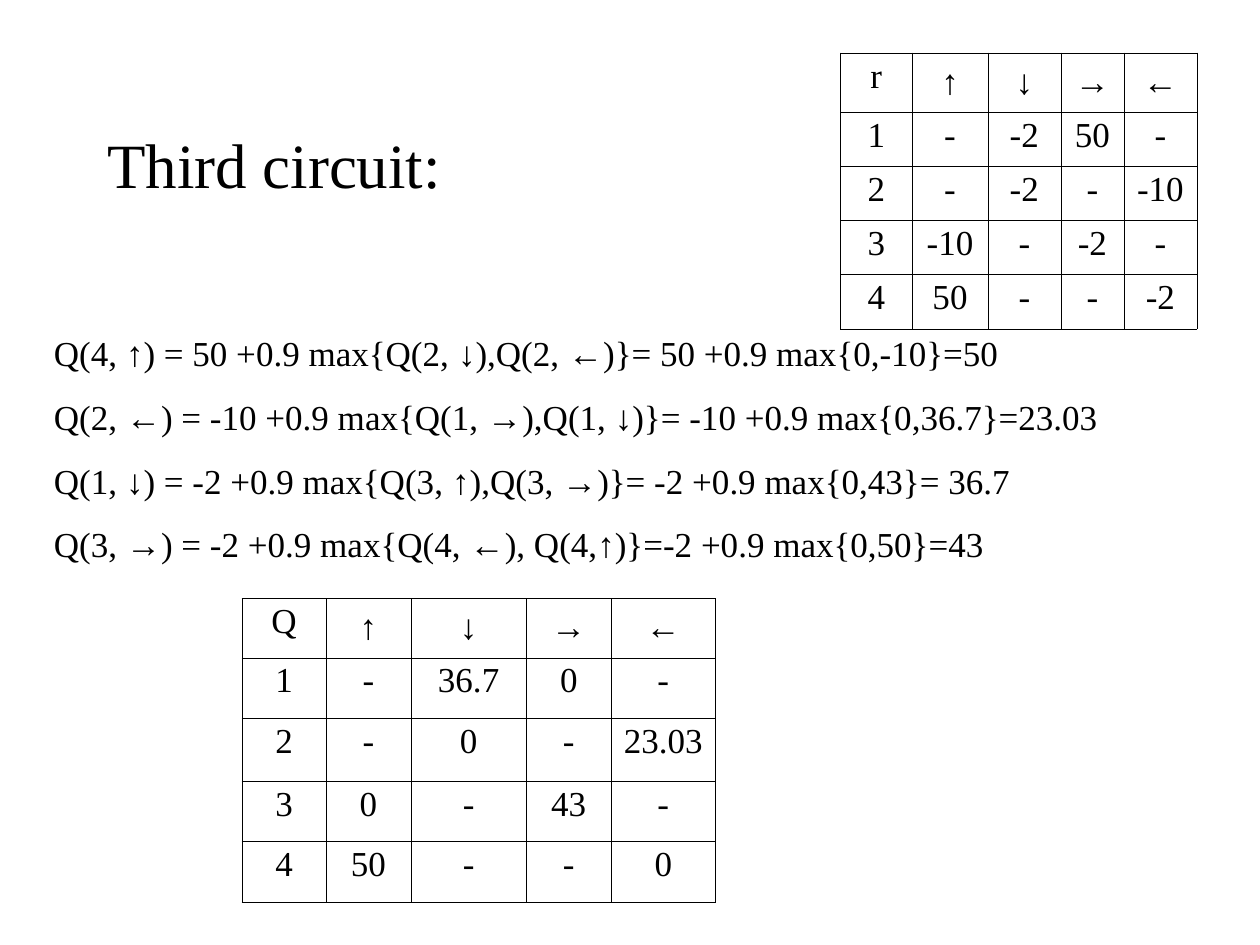
from dataclasses import dataclass
from itertools import groupby

from lxml.etree import SubElement
from pptx import Presentation
from pptx.dml.color import RGBColor
from pptx.enum.text import MSO_ANCHOR, MSO_AUTO_SIZE, PP_ALIGN
from pptx.oxml.ns import qn
from pptx.util import Inches, Pt

COLORS = {"ink": "000000", "paper": "FFFFFF"}
TEXT_FONT, ARROW_FONT = "Times New Roman", "Arial"
ARROWS = "↑↓→←"
BODY_SIZE = 20
BORDER_WIDTH = Pt(0.23)

EQUATIONS = [
    "Q(4, ↑) = 50 +0.9 max{Q(2, ↓),Q(2, ←)}= 50 +0.9 max{0,-10}=50",
    "Q(2, ←) = -10 +0.9 max{Q(1, →),Q(1, ↓)}= -10 +0.9 max{0,36.7}=23.03",
    "Q(1, ↓) = -2 +0.9 max{Q(3, ↑),Q(3, →)}= -2 +0.9 max{0,43}= 36.7",
    "Q(3, →) = -2 +0.9 max{Q(4, ←), Q(4,↑)}=-2 +0.9 max{0,50}=43",
]


@dataclass
class ValueTable:
    name: str
    left: float
    top: float
    widths: list[float]
    heights: list[float]
    values: list[list[str]]  # one row per state, one column per arrow


REWARDS = ValueTable(
    "r", 6.67, 0.42,
    [0.57, 0.6, 0.58, 0.5, 0.58],
    [0.47, 0.43, 0.43, 0.43, 0.43],
    [["-", "-2", "50", "-"],
     ["-", "-2", "-", "-10"],
     ["-10", "-", "-2", "-"],
     ["50", "-", "-", "-2"]],
)
Q_VALUES = ValueTable(
    "Q", 1.92, 4.75,
    [0.67, 0.67, 0.92, 0.67, 0.83],
    [0.47, 0.48, 0.5, 0.48, 0.48],
    [["-", "36.7", "0", "-"],
     ["-", "0", "-", "23.03"],
     ["0", "-", "43", "-"],
     ["50", "-", "-", "0"]],
)


def add_runs(p, text: str, size: int = BODY_SIZE) -> None:
    """Add text to a paragraph, giving the arrows a font of their own."""
    for is_arrow, chars in groupby(text, key=lambda c: c in ARROWS):
        r = p.add_run()
        r.text = "".join(chars)
        r.font.name = ARROW_FONT if is_arrow else TEXT_FONT
        r.font.size = Pt(size)
        r.font.color.rgb = RGBColor.from_string(COLORS["ink"])


def add_title(s, text: str) -> None:
    sp = s.shapes.title
    sp.left, sp.top = Inches(0.75), Inches(0.67)
    sp.width, sp.height = Inches(8.5), Inches(1.25)
    tf = sp.text_frame
    tf.vertical_anchor = MSO_ANCHOR.MIDDLE
    p = tf.paragraphs[0]
    p.alignment = PP_ALIGN.LEFT
    add_runs(p, text, 36)


def add_equations(s, lines: list[str]) -> None:
    sp = s.shapes.add_textbox(Inches(0.33), Inches(2.58), Inches(9.67), Inches(1.96))
    tf = sp.text_frame
    tf.word_wrap = True
    tf.auto_size = MSO_AUTO_SIZE.SHAPE_TO_FIT_TEXT
    for i, line in enumerate(lines):
        p = tf.add_paragraph() if i else tf.paragraphs[0]
        p.space_before = Pt(12.5)
        add_runs(p, line)


def set_borders(cell) -> None:
    tc_pr = cell._tc.get_or_add_tcPr()
    for side in ("a:lnL", "a:lnR", "a:lnT", "a:lnB"):
        ln = SubElement(tc_pr, qn(side), w=str(BORDER_WIDTH))
        fill = SubElement(ln, qn("a:solidFill"))
        SubElement(fill, qn("a:srgbClr"), val=COLORS["ink"])


def fill_cell(cell, text: str) -> None:
    set_borders(cell)
    cell.fill.solid()
    cell.fill.fore_color.rgb = RGBColor.from_string(COLORS["paper"])
    p = cell.text_frame.paragraphs[0]
    p.alignment = PP_ALIGN.CENTER
    p.line_spacing = 1.09 if text in ARROWS else 0.93
    p.space_before = Pt(5)
    add_runs(p, text)


def add_value_table(s, spec: ValueTable) -> None:
    rows = [[spec.name, *ARROWS]]
    rows += [[str(state), *row] for state, row in enumerate(spec.values, 1)]
    table = s.shapes.add_table(
        len(rows), len(rows[0]), Inches(spec.left), Inches(spec.top),
        Inches(sum(spec.widths)), Inches(sum(spec.heights)),
    ).table
    table.first_row = table.horz_banding = False
    for column, width in zip(table.columns, spec.widths):
        column.width = Inches(width)
    for row, height, texts in zip(table.rows, spec.heights, rows):
        row.height = Inches(height)
        for cell, text in zip(row.cells, texts):
            fill_cell(cell, text)


def main() -> None:
    prs = Presentation()
    prs.slide_width, prs.slide_height = Inches(10), Inches(7.5)
    s = prs.slides.add_slide(prs.slide_layouts[5])
    add_title(s, "Third circuit:")
    add_equations(s, EQUATIONS)
    for spec in (REWARDS, Q_VALUES):
        add_value_table(s, spec)
    prs.save("out.pptx")


if __name__ == "__main__":
    main()
